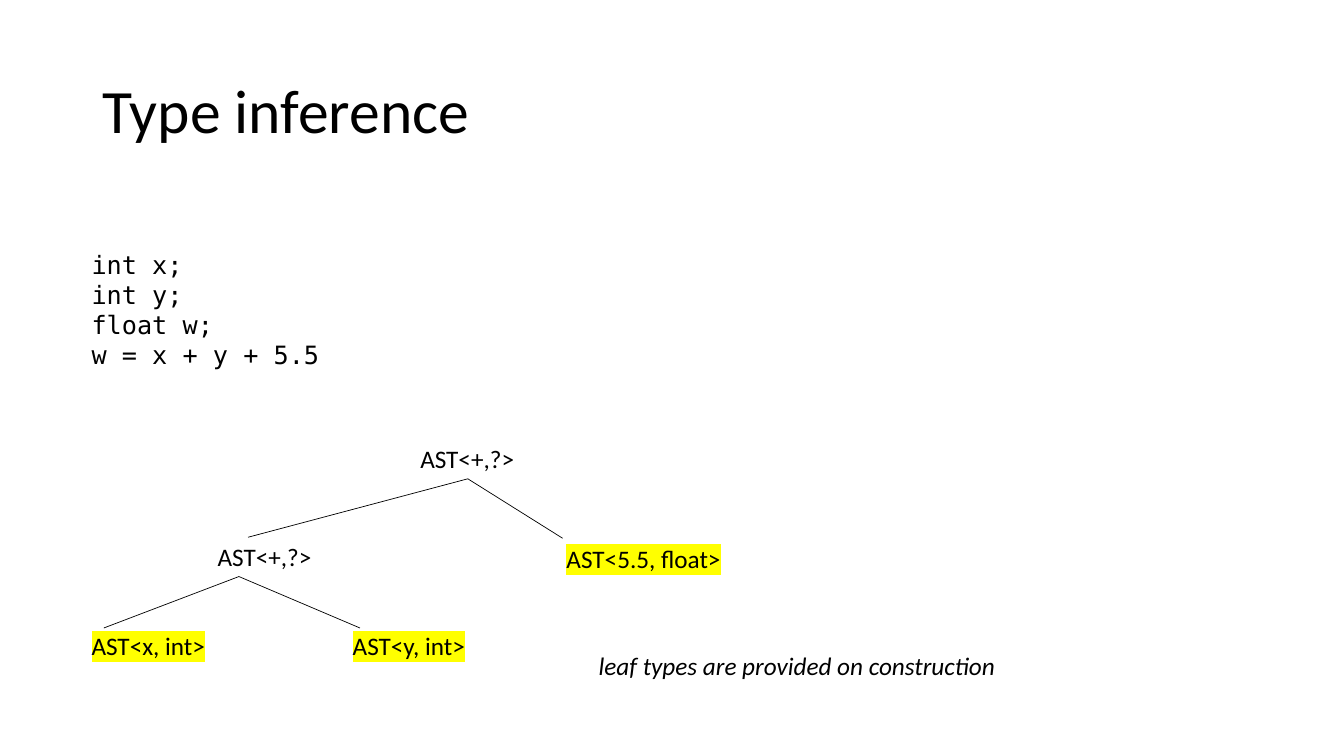
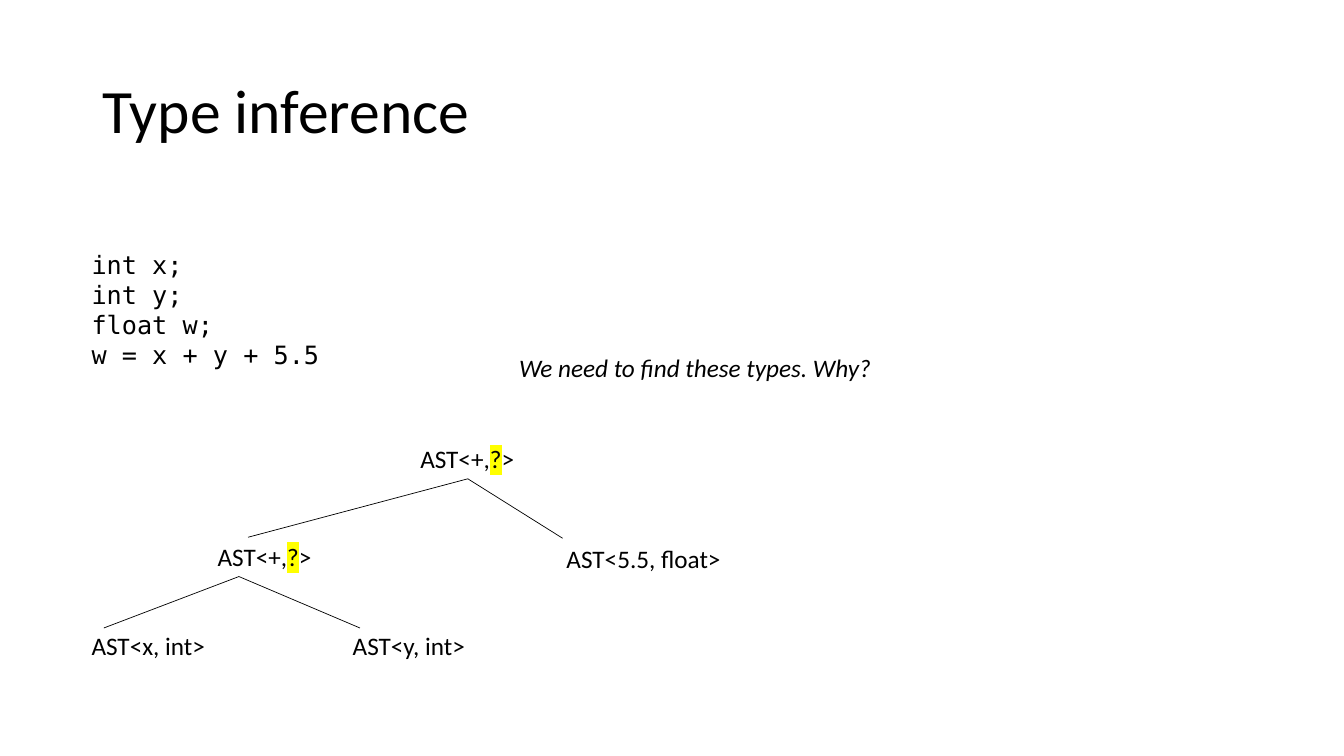
from dataclasses import dataclass

import pptx
import pptx.dml.color
import pptx.enum.shapes
import pptx.enum.text
import pptx.oxml
import pptx.oxml.ns
import pptx.util

PX = 9144
BLACK = "000000"
YELLOW = "FFFF00"
SANS = "Calibri"
MONO = "DejaVu Sans Mono"
TITLE = "Type inference"
CODE = "int x;\nint y;\nfloat w;\nw = x + y + 5.5"


@dataclass(frozen=True)
class Box:
    text: str
    left: int
    top: int
    width: int
    height: int = 40


@dataclass(frozen=True)
class Edge:
    parent: str
    start: tuple[int, int]
    end: tuple[int, int]


@dataclass(frozen=True)
class Step:
    note: Box
    leaves_marked: bool


NODES = {
    "x": Box("AST<x, int>", 81, 620, 134),
    "sum": Box("AST<+,?>", 206, 532, 114),
    "y": Box("AST<y, int>", 340, 620, 133),
    "root": Box("AST<+,?>", 407, 435, 114),
    "constant": Box("AST<5.5, float>", 552, 534, 175),
}
EDGES = [
    Edge("sum", (237, 572), (103, 623)),
    Edge("sum", (237, 572), (357, 623)),
    Edge("root", (464, 475), (246, 533)),
    Edge("root", (464, 475), (558, 534)),
]
STEPS = [
    Step(Box("leaf types are provided on construction", 584, 640, 423), True),
    Step(Box("We need to find these types. Why?", 505, 345, 373), False),
]


def px(value: int) -> pptx.util.Emu:
    return pptx.util.Emu(value * PX)


def rgb(color: str) -> pptx.dml.color.RGBColor:
    return pptx.dml.color.RGBColor.from_string(color)


def format_run(r, size: int, font: str, italic: bool, highlighted: bool) -> None:
    r.font.size = pptx.util.Pt(size)
    r.font.italic = italic
    r.font.color.rgb = rgb(BLACK)
    if highlighted:
        ns = pptx.oxml.ns.nsdecls("a")
        r.font._element.append(pptx.oxml.parse_xml(
            f'<a:highlight {ns}><a:srgbClr val="{YELLOW}"/></a:highlight>'))
    r.font.name = font


def add_text(s, box: Box, size: int = 18, font: str = SANS,
             italic: bool = False, mark: str = ""):
    sp = s.shapes.add_textbox(px(box.left), px(box.top), px(box.width), px(box.height))
    tf = sp.text_frame
    tf.word_wrap = False
    tf.text = box.text
    if mark:
        p = tf.paragraphs[0]
        before, marked, after = box.text.partition(mark)
        p.text = before
        for text in (marked, after):
            if text:
                p.add_run().text = text
    for p in tf.paragraphs:
        for r in p.runs:
            format_run(r, size, font, italic, bool(mark) and r.text == mark)
    return sp


def add_title(s) -> None:
    tf = add_text(s, Box(TITLE, 92, 40, 1150, 145), size=44).text_frame
    tf.word_wrap = True
    tf.vertical_anchor = pptx.enum.text.MSO_ANCHOR.MIDDLE
    tf.paragraphs[0].line_spacing = 0.9


def add_edge(s, edge: Edge, parent) -> None:
    line = s.shapes.add_connector(
        pptx.enum.shapes.MSO_CONNECTOR.STRAIGHT,
        *(px(value) for value in edge.start + edge.end))
    line.line.color.rgb = rgb(BLACK)
    line.line.width = pptx.util.Pt(0.5)
    line._element.spPr.append(
        pptx.oxml.parse_xml(f'<a:effectLst {pptx.oxml.ns.nsdecls("a")}/>'))
    bottom_middle = (parent.left + parent.width // 2, parent.top + parent.height)
    if bottom_middle == tuple(px(value) for value in edge.start):
        line.begin_connect(parent, 2)


def add_tree(s, leaves_marked: bool) -> None:
    shapes = {}
    for name, node in NODES.items():
        is_leaf = "?" not in node.text
        mark = ""
        if is_leaf == leaves_marked:
            mark = node.text if is_leaf else "?"
        shapes[name] = add_text(s, node, mark=mark)
    for edge in EDGES:
        add_edge(s, edge, shapes[edge.parent])


def add_step(prs, step: Step) -> None:
    s = prs.slides.add_slide(prs.slide_layouts[6])
    add_title(s)
    add_tree(s, step.leaves_marked)
    add_text(s, Box(CODE, 81, 242, 246, 131), font=MONO)
    add_text(s, step.note, italic=True)


def main() -> None:
    prs = pptx.Presentation()
    prs.slide_width = px(1333)
    prs.slide_height = px(750)
    for step in STEPS:
        add_step(prs, step)
    prs.save("out.pptx")


if __name__ == "__main__":
    main()
